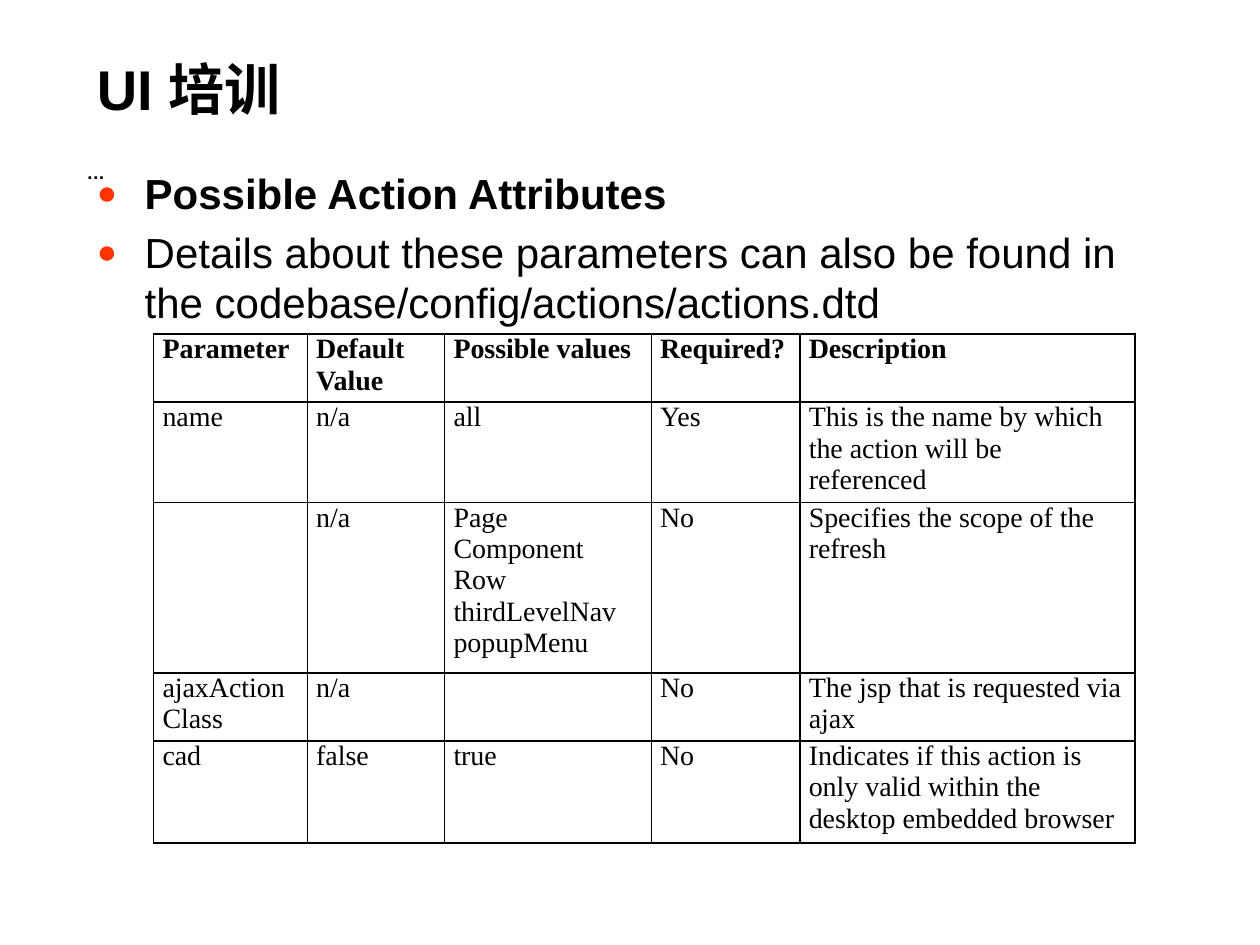
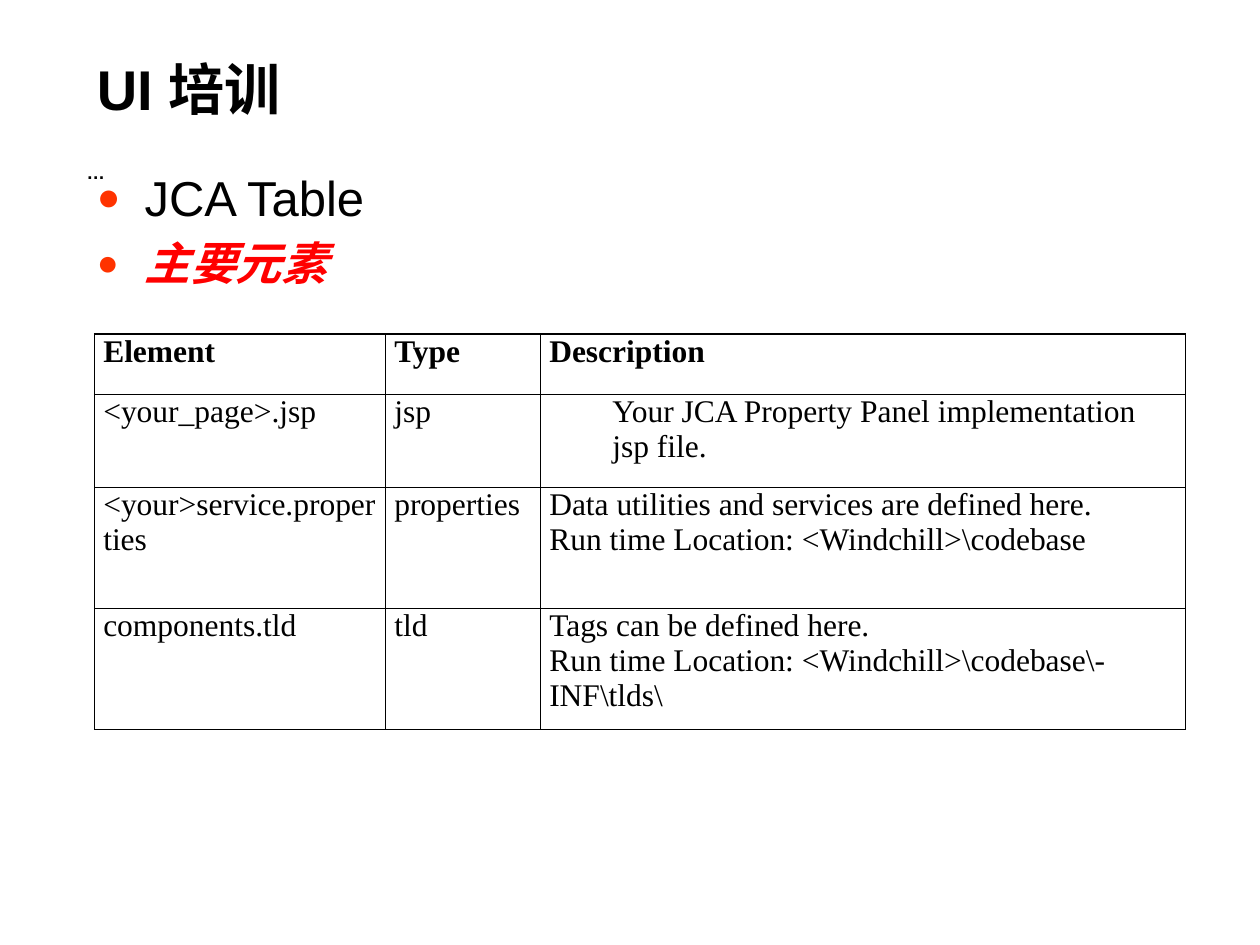
from lxml import etree
from pptx import Presentation
from pptx.dml.color import RGBColor
from pptx.enum.text import MSO_ANCHOR
from pptx.oxml.ns import qn
from pptx.util import Inches, Pt

ANCHOR_TOP = MSO_ANCHOR.TOP
ANCHOR_BOTTOM = MSO_ANCHOR.BOTTOM

COLORS = {"text": "000000", "accent": "FF0000", "bullet": "FF3300", "border": "000000"}
SANS = "Arial"
SERIF = "Times New Roman"

# Boxes: left, top, width, height in inches
TITLE_BOX = (0.67, 0.35, 8.63, 0.67)
BODY_BOX = (0.67, 1.28, 8.68, 5.14)
MARK_BOX = (0.59, 1.23, 9, 5.5)


def add_span(para, text, size, font=SANS, color="text", bold=False, italic=False):
    span = para.add_run()
    span.text = text
    span.font.name = font
    span.font.size = Pt(size)
    span.font.bold = bold
    span.font.italic = italic
    span.font.color.rgb = RGBColor.from_string(COLORS[color])


def add_frame(page, box, anchor=ANCHOR_TOP):
    frame = page.shapes.add_textbox(*map(Inches, box)).text_frame
    frame.word_wrap = True
    frame.vertical_anchor = anchor
    return frame


def next_paragraph(frame, index):
    return frame.add_paragraph() if index else frame.paragraphs[0]


def set_bullet(para, indent=0.38):
    properties = para._p.get_or_add_pPr()
    properties.set("marL", str(Inches(indent)))
    properties.set("indent", str(-Inches(indent)))
    color = etree.SubElement(properties, qn("a:buClr"))
    etree.SubElement(color, qn("a:srgbClr"), val=COLORS["bullet"])
    etree.SubElement(properties, qn("a:buSzPct"), val="80000")
    etree.SubElement(properties, qn("a:buFont"), typeface=SANS)
    etree.SubElement(properties, qn("a:buChar"), char="●")


def set_borders(cell, width=1):
    properties = cell._tc.get_or_add_tcPr()
    for position, side in enumerate(("lnL", "lnR", "lnT", "lnB")):
        line = etree.Element(qn(f"a:{side}"), w=str(Pt(width)))
        fill = etree.SubElement(line, qn("a:solidFill"))
        etree.SubElement(fill, qn("a:srgbClr"), val=COLORS["border"])
        properties.insert(position, line)


def add_heading(page):
    # Title and the small mark beside the bullets
    title = add_frame(page, TITLE_BOX, ANCHOR_BOTTOM).paragraphs[0]
    title.line_spacing = 0.85
    add_span(title, "UI 培训", size=32, bold=True)
    mark = add_frame(page, MARK_BOX).paragraphs[0]
    add_span(mark, "…", size=10.5, bold=True)


def add_bullets(page, box, items):
    frame = add_frame(page, box)
    for index, (text, style) in enumerate(items):
        para = next_paragraph(frame, index)
        if index:
            para.space_before = Pt(style["size"] * 0.2)
        set_bullet(para)
        add_span(para, text, **style)


def fill_cell(cell, text, size, bold):
    cell.margin_left = cell.margin_right = Inches(0.07)
    cell.margin_top = cell.margin_bottom = 0
    cell.fill.background()
    set_borders(cell)
    if text:
        for index, line in enumerate(text.split("\n")):
            para = next_paragraph(cell.text_frame, index)
            add_span(para, line, size=size, font=SERIF, bold=bold)


def add_grid(page, left, top, widths, heights, rows, size):
    box = (left, top, sum(widths), sum(heights))
    table = page.shapes.add_table(len(rows), len(widths), *map(Inches, box)).table
    table.first_row = table.horz_banding = False
    for column, width in zip(table.columns, widths):
        column.width = Inches(width)
    for row, height in zip(table.rows, heights):
        row.height = Inches(height)
    for row_index, texts in enumerate(rows):
        for column_index, text in enumerate(texts):
            fill_cell(table.cell(row_index, column_index), text, size, bold=row_index == 0)
    return table


def add_attributes_page(deck):
    page = deck.slides.add_slide(deck.slide_layouts[6])
    add_bullets(page, BODY_BOX, [
        ("Possible Action Attributes", {"size": 24, "bold": True}),
        ("Details about these parameters can also be found in "
         "the codebase/config/actions/actions.dtd", {"size": 24}),
    ])
    add_heading(page)
    add_grid(
        page, 1.22, 2.65,
        widths=[1.22, 1.09, 1.64, 1.18, 2.66],
        heights=[0.54, 0.74, 1.35, 0.54, 0.81],
        size=16,
        rows=[
            ("Parameter", "Default Value", "Possible values", "Required?", "Description"),
            ("name", "n/a", "all", "Yes",
             "This is the name by which the action will be referenced"),
            ("", "n/a", "Page\nComponent\nRow\nthirdLevelNav\npopupMenu", "No",
             "Specifies the scope of the refresh"),
            ("ajaxActionClass", "n/a", "", "No", "The jsp that is requested via ajax"),
            ("cad", "false", "true", "No",
             "Indicates if this action is only valid within the desktop embedded browser"),
        ])


def add_elements_page(deck):
    page = deck.slides.add_slide(deck.slide_layouts[6])
    add_bullets(page, BODY_BOX, [
        ("JCA Table", {"size": 28}),
        ("主要元素", {"size": 26, "color": "accent", "bold": True, "italic": True}),
    ])
    add_heading(page)
    table = add_grid(
        page, 0.75, 2.65,
        widths=[2.31, 1.23, 5.12],
        heights=[0.48, 0.74, 0.96, 0.96],
        size=18,
        rows=[
            ("Element", "Type", "Description"),
            ("<your_page>.jsp", "jsp", "Your JCA Property Panel implementation jsp file."),
            ("<your>service.properties", "properties",
             "Data utilities and services are defined here.\n"
             "Run time Location: <Windchill>\\codebase"),
            ("components.tld", "tld",
             "Tags can be defined here.\n"
             "Run time Location: <Windchill>\\codebase\\-INF\\tlds\\"),
        ])
    # The page file's description is indented
    indented = table.cell(1, 2).text_frame.paragraphs[0]
    indented._p.get_or_add_pPr().set("marL", str(Inches(0.5)))


def main():
    deck = Presentation()
    deck.slide_width = Inches(10)
    deck.slide_height = Inches(7.5)
    add_attributes_page(deck)
    add_elements_page(deck)
    deck.save("out.pptx")


if __name__ == "__main__":
    main()
